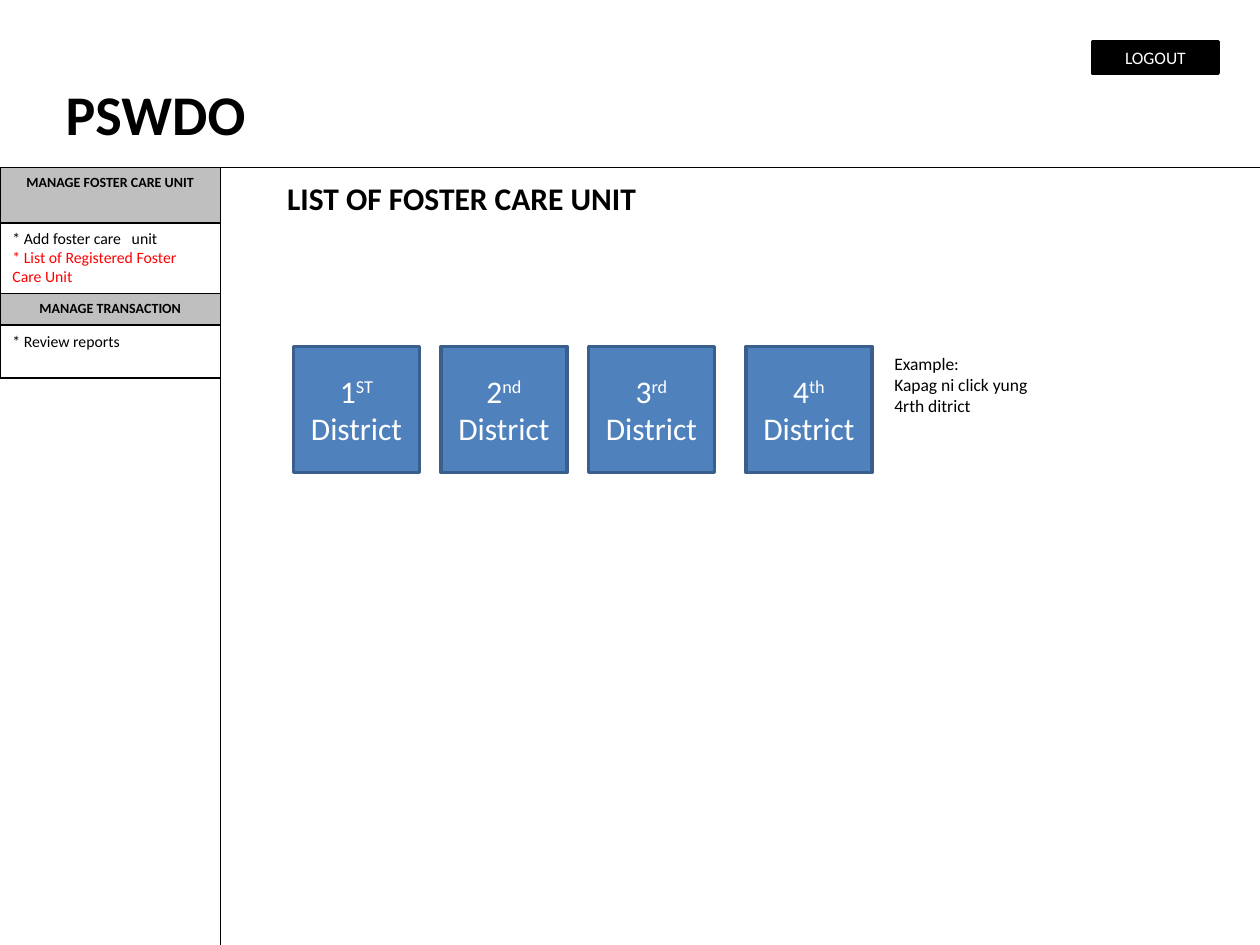
import pptx
import pptx.dml.color
import pptx.enum.shapes
import pptx.enum.text
import pptx.oxml
import pptx.oxml.ns
import pptx.util

Inches = pptx.util.Inches
ALIGN = pptx.enum.text.PP_ALIGN
ANCHOR = pptx.enum.text.MSO_ANCHOR


def paint(color_format, value):
    """Set a fill's, line's or font's colour from a hex string."""
    color_format.rgb = pptx.dml.color.RGBColor.from_string(value)


def write(box, paragraphs, size, color="000000", align=ALIGN.LEFT, anchor=ANCHOR.TOP, bold=False):
    """Fill a box; each paragraph is a list of (text, look) runs, look overriding
    the colour or, with "super", raising the run."""
    frame = box.text_frame
    frame.word_wrap = True
    frame.vertical_anchor = anchor
    for index, runs in enumerate(paragraphs):
        para = frame.paragraphs[0] if index == 0 else frame.add_paragraph()
        para.alignment = align
        for text, look in runs:
            span = para.add_run()
            span.text = text
            formats = {"name": "Calibri", "size": pptx.util.Pt(size), "bold": bold}
            for name, value in formats.items():
                setattr(span.font, name, value)
            raised = look == "super"
            paint(span.font.color, color if raised or not look else look)
            if raised:
                span._r.get_or_add_rPr().set("baseline", "30000")


deck = pptx.Presentation()
deck.slide_width, deck.slide_height = Inches(10), Inches(7.5)
page = deck.slides.add_slide(deck.slide_layouts[5])
shapes = page.shapes

# Header rule and sidebar edge
sidebar_width, header_bottom = 1.75, 1.33
for start_x, end_x, end_y in [(sidebar_width, sidebar_width, 7.5), (0, 10, header_bottom)]:
    rule = shapes.add_connector(
        pptx.enum.shapes.MSO_CONNECTOR.STRAIGHT,
        Inches(start_x), Inches(header_bottom), Inches(end_x), Inches(end_y))
    paint(rule.line.color, "000000")
    rule.line.width = pptx.util.Pt(0.75)
    rule._element.spPr.append(pptx.oxml.parse_xml(
        f"<a:effectLst {pptx.oxml.ns.nsdecls('a')}/>"))

# Title, section heading and remark
title = shapes.title
title.left, title.top, title.width, title.height = map(Inches, (0.42, 0.58, 3, 0.64))
heading = shapes.add_textbox(Inches(1.75), Inches(1.37), Inches(3.83), Inches(0.4))
remark = shapes.add_textbox(Inches(7), Inches(2.75), Inches(1.33), Inches(0.61))
write(title, [[("PSWDO", None)]], 32, bold=True)
write(heading, [[("LIST OF FOSTER CARE UNIT", None)]], 18, align=ALIGN.CENTER, bold=True)
write(remark, [[("Example:", None)], [("Kapag ni click yung 4rth ditrict", None)]], 10)
for box in (title, heading, remark):
    box.text_frame.auto_size = pptx.enum.text.MSO_AUTO_SIZE.SHAPE_TO_FIT_TEXT

# Rectangles: place, fill, line colour, line width, paragraphs, text format
menu_head = {"size": 8, "align": ALIGN.CENTER, "bold": True}
menu_items = {"size": 9}
button = {"color": "FFFFFF", "align": ALIGN.CENTER, "anchor": ANCHOR.MIDDLE}
rectangles = [
    ((0, 1.33, sidebar_width, 0.44), "BFBFBF", "000000", 0.75,
     [[("MANAGE FOSTER CARE UNIT", None)]], menu_head),
    ((0, 1.77, sidebar_width, 0.83), "FFFFFF", "000000", 0.75,
     [[("* Add foster care   unit", None)],
      [("* List of Registered Foster Care Unit", "FF0000")]], menu_items),
    ((0, 2.33, sidebar_width, 0.25), "BFBFBF", "000000", 0.75,
     [[("MANAGE TRANSACTION", None)]], menu_head),
    ((0, 2.58, sidebar_width, 0.42), "FFFFFF", "000000", 0.75,
     [[("* Review reports", None)]], menu_items),
    ((8.67, 0.33, 1, 0.25), "000000", "000000", 2,
     [[("LOGOUT", None)]], {"size": 10, **button}),
]
districts = [(2.33, "1", "ST"), (3.5, "2", "nd"), (4.67, "3", "rd"), (5.92, "4", "th")]
for left, number, ending in districts:
    rectangles.append((
        (left, 2.75, 1, 1), "4F81BD", "3A5F8C", 2,
        [[(number, None), (ending, "super"), (" District", None)]], {"size": 18, **button}))

for place, fill, line_color, line_width, paragraphs, text_format in rectangles:
    box = shapes.add_shape(pptx.enum.shapes.MSO_SHAPE.RECTANGLE, *map(Inches, place))
    box.shadow.inherit = False
    box.fill.solid()
    paint(box.fill.fore_color, fill)
    paint(box.line.color, line_color)
    box.line.width = pptx.util.Pt(line_width)
    write(box, paragraphs, **text_format)

deck.save("out.pptx")
